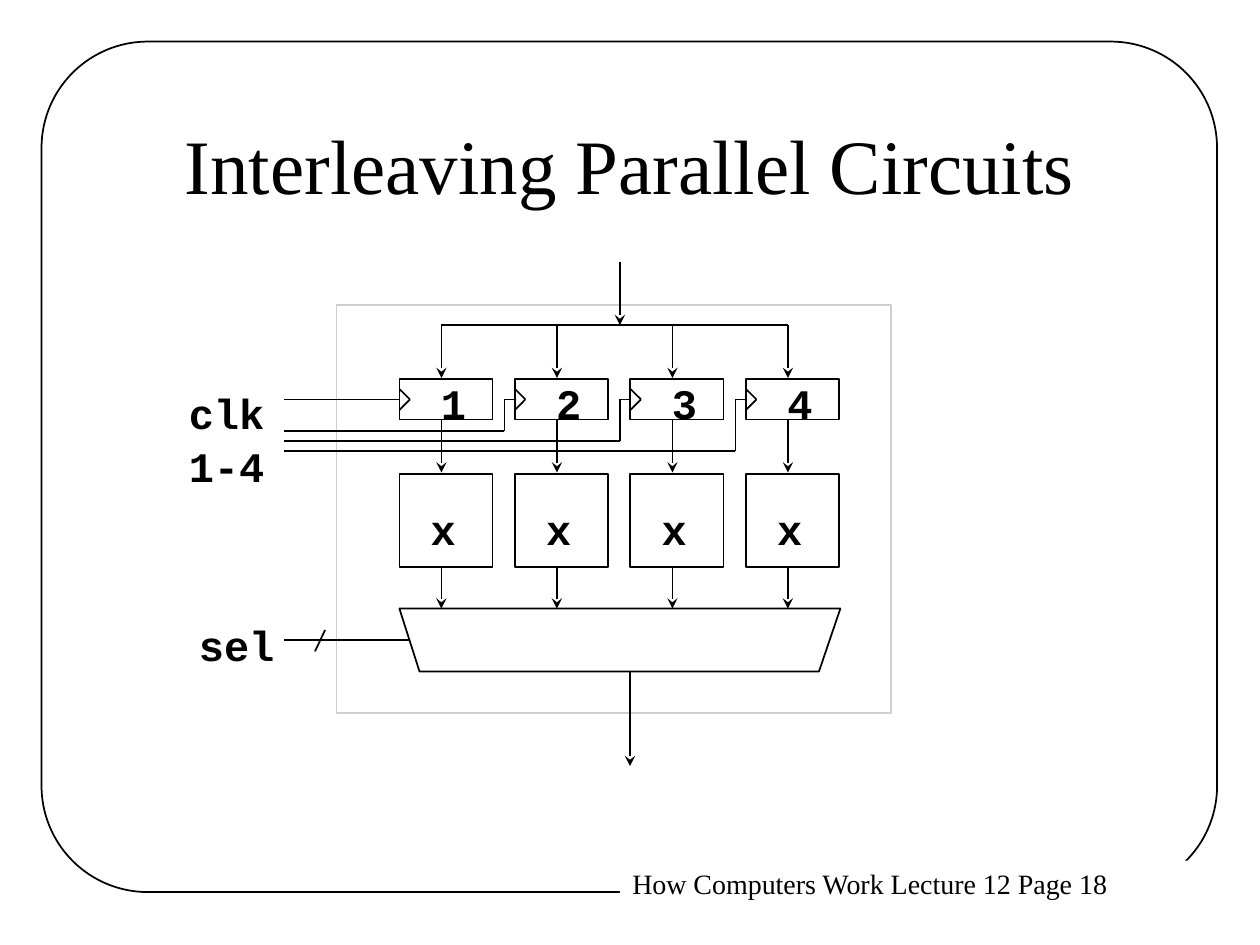
from dataclasses import dataclass

from lxml import etree
from pptx import Presentation
from pptx.dml.color import RGBColor
from pptx.enum.shapes import MSO_CONNECTOR, MSO_SHAPE
from pptx.enum.text import MSO_ANCHOR, PP_ALIGN
from pptx.oxml.ns import qn
from pptx.util import Inches, Pt

STRAIGHT = MSO_CONNECTOR.STRAIGHT
RECTANGLE = MSO_SHAPE.RECTANGLE
ROUNDED = MSO_SHAPE.ROUNDED_RECTANGLE
TOP, MIDDLE = MSO_ANCHOR.TOP, MSO_ANCHOR.MIDDLE
LEFT, CENTER = PP_ALIGN.LEFT, PP_ALIGN.CENTER


@dataclass(frozen=True)
class Theme:
    ink: RGBColor = RGBColor(0, 0, 0)
    paper: RGBColor = RGBColor(255, 255, 255)
    frame: RGBColor = RGBColor(0xCE, 0xCE, 0xCE)
    serif: str = "Times New Roman"
    mono: str = "Courier New"
    title_size: int = 44
    label_size: int = 24
    footer_size: int = 16
    line_width: int = 1


@dataclass(frozen=True)
class Box:
    left: float
    top: float
    width: float
    height: float

    def lengths(self):
        return [Inches(value) for value in (self.left, self.top, self.width, self.height)]


@dataclass(frozen=True)
class TextStyle:
    font: dict
    align: int = LEFT
    anchor: int = TOP
    wrap: bool = True
    top_inset: float = 0.05
    line_spacing: float = 1.0


@dataclass(frozen=True)
class Channel:
    number: int
    left: float
    clock_y: float

    @property
    def center(self) -> float:
        return self.left + 1 / 3


THEME = Theme()
TITLE = TextStyle(
    {"name": THEME.serif, "size": Pt(THEME.title_size), "bold": False}, CENTER, MIDDLE)
FOOTER = TextStyle({"name": THEME.serif, "size": Pt(THEME.footer_size), "bold": False})
LABEL = TextStyle({"name": THEME.mono, "size": Pt(THEME.label_size), "bold": True},
                  wrap=False, top_inset=0.08, line_spacing=1.05)

# Circuit geometry in inches
PITCH = 11 / 12
STEP = 1 / 12
FIRST_LEFT = 3.17
CELL_WIDTH = 0.74
WIRE_START = 2.25
BUS_Y = 2.58
REGISTER_TOP, REGISTER_HEIGHT = 3.01, 0.32
CLOCK_Y = 3.17
BLOCK_TOP = 3.76
MUX_TOP, MUX_BOTTOM = 4.83, 5.33
CLOCK_LEVELS = [CLOCK_Y, 3.42, 3.5, 3.58]
CHANNELS = [Channel(index + 1, FIRST_LEFT + index * PITCH, level)
            for index, level in enumerate(CLOCK_LEVELS)]


def set_outline(shape, color: RGBColor) -> None:
    shape.line.color.rgb = color
    shape.line.width = Pt(THEME.line_width)


def add_box(slide, box: Box, line: RGBColor | None = THEME.ink,
            filled: bool = True, kind: int = RECTANGLE):
    shape = slide.shapes.add_shape(kind, *box.lengths())
    shape.shadow.inherit = False
    if filled:
        shape.fill.solid()
        shape.fill.fore_color.rgb = THEME.paper
    else:
        shape.fill.background()
    if line is None:
        shape.line.fill.background()
    else:
        set_outline(shape, line)
    return shape


def write_text(shape, text: str, style: TextStyle) -> None:
    frame = shape.text_frame
    frame.word_wrap = style.wrap
    frame.vertical_anchor = style.anchor
    frame.margin_top = Inches(style.top_inset)
    frame.text = text
    for paragraph in frame.paragraphs:
        paragraph.alignment = style.align
        paragraph.line_spacing = style.line_spacing
        for run in paragraph.runs:
            for name, value in style.font.items():
                setattr(run.font, name, value)
            run.font.color.rgb = THEME.ink


def add_text(slide, text: str, box: Box, style: TextStyle) -> None:
    write_text(slide.shapes.add_textbox(*box.lengths()), text, style)


def add_wire(slide, *points: tuple[float, float], arrow: bool = False) -> None:
    """Join the points with straight segments; an arrow ends each segment."""
    for start, end in zip(points, points[1:]):
        wire = slide.shapes.add_connector(
            STRAIGHT, *(Inches(value) for value in (*start, *end)))
        set_outline(wire, THEME.ink)
        if arrow:
            etree.SubElement(wire.line._get_or_add_ln(), qn("a:tailEnd"), type="stealth")
        etree.SubElement(wire._element.spPr, qn("a:effectLst"))


def add_multiplexer(slide) -> None:
    corners = [(FIRST_LEFT, MUX_TOP), (6.67, MUX_TOP), (6.5, MUX_BOTTOM), (3.33, MUX_BOTTOM)]
    points = [(Inches(x), Inches(y)) for x, y in corners]
    builder = slide.shapes.build_freeform(*points[0])
    builder.add_line_segments(points[1:], close=True)
    shape = builder.convert_to_shape()
    shape.shadow.inherit = False
    shape.fill.background()
    set_outline(shape, THEME.ink)


def add_channel(slide, channel: Channel) -> None:
    left, center = channel.left, channel.center
    # Register and processing block
    add_box(slide, Box(left, BLOCK_TOP, CELL_WIDTH, CELL_WIDTH))
    add_box(slide, Box(left, REGISTER_TOP, CELL_WIDTH, REGISTER_HEIGHT))
    # Data path
    for start, end in ((BUS_Y, 3), (3.33, 3.75), (4.5, MUX_TOP)):
        add_wire(slide, (center, start), (center, end), arrow=True)
    # Clock input
    add_wire(slide, (left, CLOCK_Y - STEP), (left + STEP, CLOCK_Y), (left, CLOCK_Y + STEP))
    if channel.clock_y == CLOCK_Y:
        add_wire(slide, (left, CLOCK_Y), (WIRE_START, CLOCK_Y))
    else:
        turn = left - STEP
        add_wire(slide, (left, CLOCK_Y), (turn, CLOCK_Y),
                 (turn, channel.clock_y), (WIRE_START, channel.clock_y))
    # Labels
    add_text(slide, "x", Box(left + 0.15, 3.9, 0.4, 0.5), LABEL)
    add_text(slide, str(channel.number), Box(left + 0.23, 2.9, 0.4, 0.5), LABEL)


def main() -> None:
    presentation = Presentation()
    presentation.slide_width, presentation.slide_height = Inches(10), Inches(7.5)
    slide = presentation.slides.add_slide(presentation.slide_layouts[6])

    # Page frame, footer and title
    border = add_box(slide, Box(0.33, 0.33, 9.33, 6.75), filled=False, kind=ROUNDED)
    border.adjustments[0] = 0.125
    footer = add_box(slide, Box(4.92, 6.83, 4.7, 0.37), line=None)
    write_text(footer, "How Computers Work Lecture 12 Page 18", FOOTER)
    add_box(slide, Box(2.67, 2.42, 4.4, 3.24), line=THEME.frame)
    add_text(slide, "Interleaving Parallel Circuits", Box(0.75, 0.67, 8.5, 1.25), TITLE)

    # Parallel channels and multiplexer
    for channel in CHANNELS:
        add_channel(slide, channel)
    add_multiplexer(slide)

    # Input bus, output and select line
    add_wire(slide, (CHANNELS[0].center, BUS_Y), (CHANNELS[-1].center, BUS_Y))
    add_wire(slide, (4.92, 2.08), (4.92, BUS_Y), arrow=True)
    add_wire(slide, (5, MUX_BOTTOM), (5, 6.08), arrow=True)
    add_wire(slide, (3.25, 5.08), (WIRE_START, 5.08))
    add_wire(slide, (2.58, 5), (2.5, 5.17))

    # Signal names
    add_text(slide, "clk\n1-4", Box(1.4, 2.98, 0.8, 0.9), LABEL)
    add_text(slide, "sel", Box(1.48, 4.82, 0.8, 0.5), LABEL)

    presentation.save("out.pptx")


if __name__ == "__main__":
    main()
